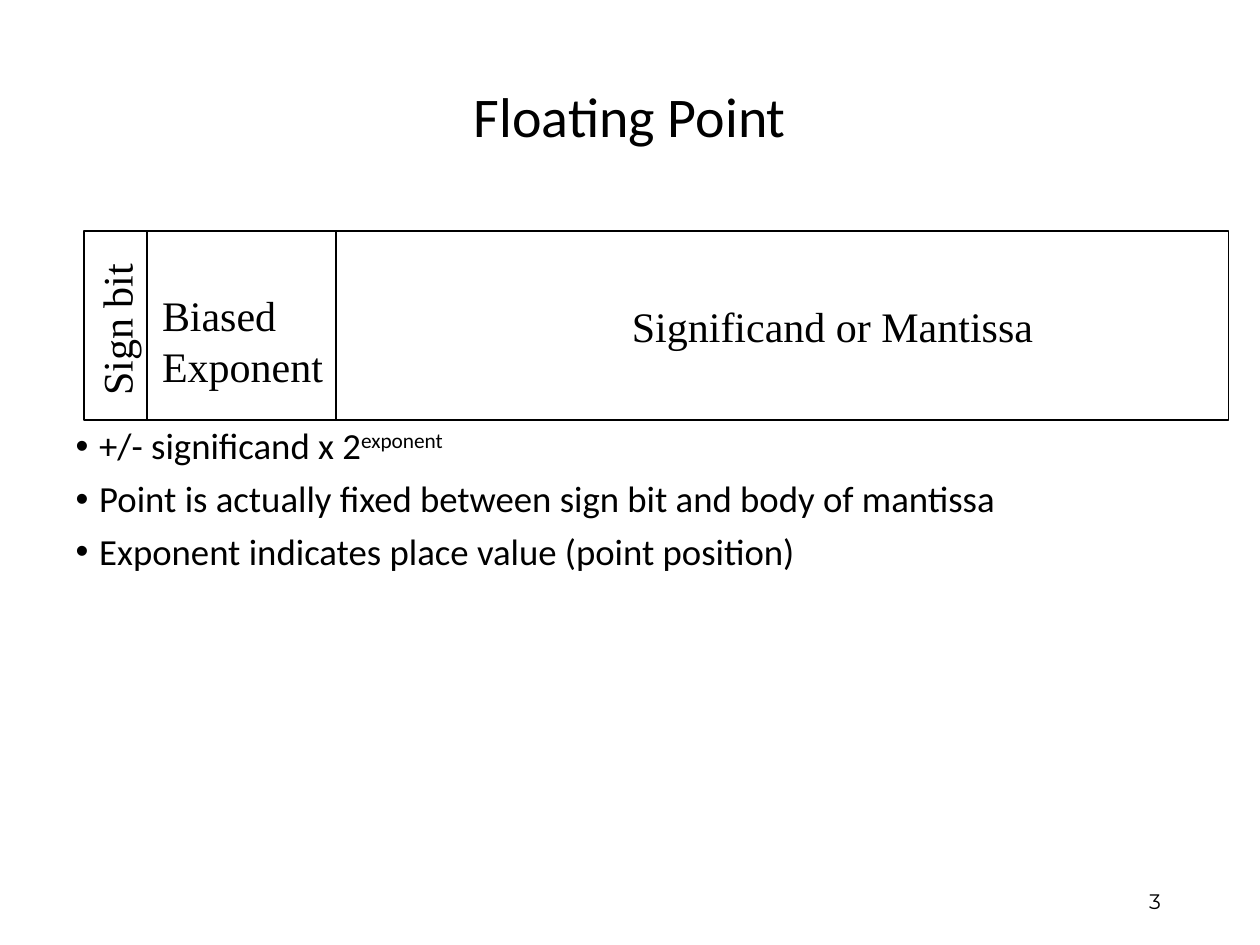
from pptx import Presentation
from pptx.dml.color import RGBColor
from pptx.enum.shapes import MSO_SHAPE as SHAPE
from pptx.enum.text import MSO_ANCHOR as ANCHOR, MSO_AUTO_SIZE as AUTO, PP_ALIGN as ALIGN
from pptx.util import Pt

BLACK = "000000"
SERIF = "Times New Roman"
SANS = "Calibri"


def rgb(value):
    """Return the colour for a hex string."""
    return RGBColor.from_string(value)


def place(sp, left, top, width, height):
    """Move and size a shape, in points."""
    sp.left, sp.top, sp.width, sp.height = map(Pt, (left, top, width, height))


def style(p, size, name, align=ALIGN.LEFT):
    """Set the alignment and font of a paragraph."""
    p.alignment = align
    p.font.size = Pt(size)
    p.font.name = name
    p.font.color.rgb = rgb(BLACK)


def add_title(s, text):
    """Fill the title placeholder."""
    sp = s.shapes.title
    place(sp, 36, 36, 648, 64)
    tf = sp.text_frame
    tf.text = text
    tf.auto_size = AUTO.NONE
    tf.vertical_anchor = ANCHOR.MIDDLE
    p = tf.paragraphs[0]
    p.line_spacing = 0.9
    style(p, 32, SANS, ALIGN.CENTER)


def add_bullets(s, items):
    """Fill the body placeholder; each item is a text and its superscript."""
    sp = s.placeholders[1]
    place(sp, 36, 241, 648, 221)
    tf = sp.text_frame
    tf.auto_size = AUTO.NONE
    for i, (text, power) in enumerate(items):
        p = tf.add_paragraph() if i else tf.paragraphs[0]
        pPr = p._p.get_or_add_pPr()
        pPr.set("marL", str(Pt(13.5)))
        pPr.set("indent", str(Pt(-13.5)))
        p.line_spacing = 0.9
        p.space_before = Pt(7.5 if i else 0)
        style(p, 21, SANS, ALIGN.JUSTIFY)
        p.add_run().text = text
        if power:
            r = p.add_run()
            r.text = power
            r._r.get_or_add_rPr().set("baseline", "30000")


def add_field(s, left, width):
    """Draw the outline of one field of the number format."""
    sp = s.shapes.add_shape(SHAPE.RECTANGLE, Pt(left), Pt(132), Pt(width), Pt(108))
    sp.shadow.inherit = False
    sp.fill.background()
    sp.line.color.rgb = rgb(BLACK)
    sp.line.width = Pt(0.75)


def add_label(s, lines, box, rotation=0):
    """Add the unwrapped label of a field."""
    sp = s.shapes.add_textbox(*map(Pt, box))
    sp.rotation = rotation
    tf = sp.text_frame
    tf.word_wrap = False
    tf.auto_size = AUTO.SHAPE_TO_FIT_TEXT
    tf.text = "\n".join(lines)
    for p in tf.paragraphs:
        style(p, 24, SERIF)


def add_page_number(s, number):
    """Add the page number at the lower right."""
    sp = s.shapes.add_textbox(Pt(508.5), Pt(500.5), Pt(162), Pt(28.5))
    tf = sp.text_frame
    tf.word_wrap = True
    tf.vertical_anchor = ANCHOR.MIDDLE
    tf.text = number
    style(tf.paragraphs[0], 12, "Montserrat", ALIGN.RIGHT)


def main():
    """Build the slide and save it."""
    prs = Presentation()
    prs.slide_width, prs.slide_height = Pt(720), Pt(540)
    s = prs.slides.add_slide(prs.slide_layouts[1])
    add_title(s, "Floating Point")
    add_bullets(s, [
        ("+/- significand x 2", "exponent"),
        ("Point is actually fixed between sign bit and body of mantissa", ""),
        ("Exponent indicates place value (point position)", ""),
    ])
    add_page_number(s, "3")
    left = 48
    for width, lines, box, rotation in [
        (36, ["Sign bit"], (19.25, 168.25, 94, 36), 270),
        (108, ["Biased", "Exponent"], (85.5, 162, 106.5, 65), 0),
        (510, ["Significand or Mantissa"], (354, 168, 243.5, 36), 0),
    ]:
        add_field(s, left, width)
        add_label(s, lines, box, rotation)
        left += width
    prs.save("out.pptx")


if __name__ == "__main__":
    main()
